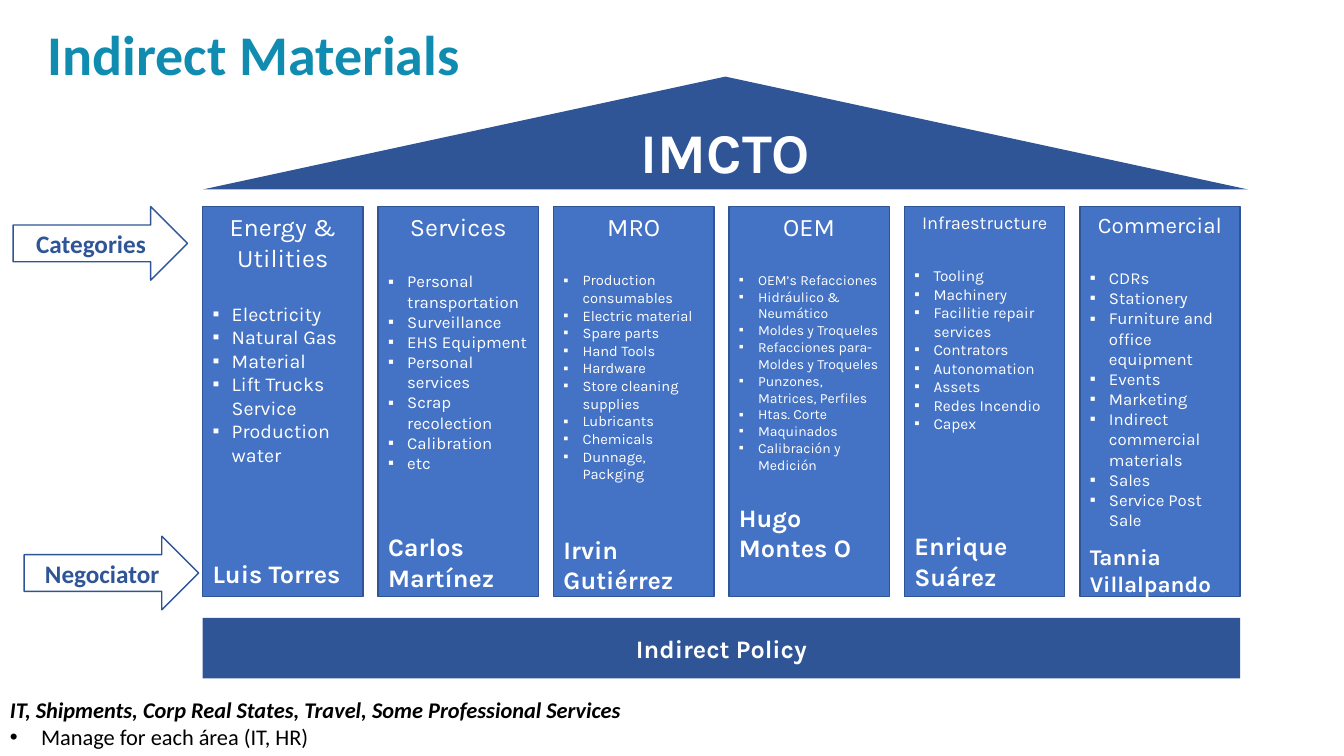
from lxml.etree import SubElement
from pptx import Presentation
from pptx.dml.color import RGBColor
from pptx.enum.shapes import MSO_SHAPE
from pptx.enum.text import MSO_ANCHOR, MSO_AUTO_SIZE, PP_ALIGN
from pptx.oxml.ns import qn
from pptx.util import Inches, Pt

TEAL = RGBColor(0x10, 0x8C, 0xB1)
NAVY = RGBColor(0x2F, 0x55, 0x97)
BLUE = RGBColor(0x44, 0x72, 0xC4)
WHITE = RGBColor(0xFF, 0xFF, 0xFF)
BLACK = RGBColor(0, 0, 0)

LEFT, TOP, PITCH = 2.01, 2.05, 1.74

# heading, heading size, gap below, items, item size, gap above name, name, name size
PILLARS = [
    ("Energy & Utilities", 18, 21,
     ["Electricity", "Natural Gas", "Material", "Lift Trucks Service",
      "Production water"], 14, 65.5, "Luis Torres", 18),
    ("Services", 18, 21,
     ["Personal transportation", "Surveillance", "EHS Equipment",
      "Personal services", "Scrap recolection", "Calibration", "etc"],
     12, 42, "Carlos Martínez", 18),
    ("MRO", 18, 21,
     ["Production consumables", "Electric material", "Spare parts",
      "Hand Tools", "Hardware", "Store cleaning supplies", "Lubricants",
      "Chemicals", "Dunnage, Packging"], 10.5, 37, "Irvin Gutiérrez", 18),
    ("OEM", 18, 21,
     ["OEM’s Refacciones", "Hidráulico & Neumático", "Moldes y Troqueles",
      "Refacciones para-Moldes y Troqueles", "Punzones, Matrices, Perfiles",
      "Htas. Corte", "Maquinados", "Calibración y Medición"],
     10, 21, "Hugo Montes O", 18),
    ("Infraestructure", 13, 23.5,
     ["Tooling", "Machinery", "Facilitie repair services", "Contrators",
      "Autonomation", "Assets", "Redes Incendio", "Capex"],
     11, 70, "Enrique Suárez", 18),
    ("Commercial", 16, 21,
     ["CDRs", "Stationery", "Furniture and office equipment", "Events",
      "Marketing", "Indirect commercial materials", "Sales",
      "Service Post Sale"], 12, 9.5, "Tannia Villalpando", 16),
]


def place(*box):
    return [Inches(n) for n in box]


def add_run(para, text, size, color, font="Karla", bold=False, slant=False):
    run = para.add_run()
    run.text = text
    face = run.font
    face.name, face.size = font, Pt(size)
    face.bold, face.italic = bold, slant
    face.color.rgb = color


def add_mark(para, char, indent):
    """Give the paragraph a bullet with a hanging indent."""
    props = para._p.get_or_add_pPr()
    props.set("marL", str(Inches(indent)))
    props.set("indent", str(-Inches(indent)))
    SubElement(props, qn("a:buFont")).set("typeface", "Arial")
    SubElement(props, qn("a:buChar")).set("char", char)


def add_block(slide, kind, box, fill=None, line=None, anchor=MSO_ANCHOR.MIDDLE):
    """Add a preset shape and return its text frame."""
    shape = slide.shapes.add_shape(kind, *place(*box))
    shape.shadow.inherit = False
    if fill is None:
        shape.fill.background()
    else:
        shape.fill.solid()
        shape.fill.fore_color.rgb = fill
    if line is None:
        shape.line.fill.background()
    else:
        shape.line.color.rgb = line
        shape.line.width = Pt(1)
    frame = shape.text_frame
    frame.word_wrap = True
    frame.vertical_anchor = anchor
    return frame


def add_label(frame, text, size, color, font="Karla"):
    para = frame.paragraphs[0]
    para.alignment = PP_ALIGN.CENTER
    add_run(para, text, size, color, font, bold=True)


def add_title(slide, text):
    title = slide.shapes.title
    title.left, title.top, title.width, title.height = place(0.13, 0.22, 4.53, 0.54)
    frame = title.text_frame
    frame.auto_size = MSO_AUTO_SIZE.NONE
    frame.word_wrap = True
    frame.vertical_anchor = MSO_ANCHOR.TOP
    para = frame.paragraphs[0]
    para.alignment = PP_ALIGN.RIGHT
    para.line_spacing = 0.9
    add_run(para, text, 40, TEAL, "Calibri", bold=True)


def add_pillar(slide, left, head, head_size, head_gap, items, size, gap, name, name_size):
    frame = add_block(slide, MSO_SHAPE.RECTANGLE, (left, TOP, 1.59, 3.87),
                      BLUE, NAVY, MSO_ANCHOR.TOP)
    para = frame.paragraphs[0]
    para.alignment = PP_ALIGN.CENTER
    para.space_after = Pt(head_gap)
    add_run(para, head, head_size, WHITE)
    for item in items:
        para = frame.add_paragraph()
        para.alignment = PP_ALIGN.LEFT
        add_mark(para, "▪", 0.19)
        add_run(para, item, size, WHITE)
    para = frame.add_paragraph()
    para.alignment = PP_ALIGN.LEFT
    para.space_before = Pt(gap)
    add_run(para, name, name_size, WHITE, bold=True)


def add_note(slide, lead, point):
    frame = slide.shapes.add_textbox(*place(0, 6.86, 8.81, 0.64)).text_frame
    frame.word_wrap = True
    add_run(frame.paragraphs[0], lead, 16, BLACK, "Calibri", bold=True, slant=True)
    para = frame.add_paragraph()
    add_mark(para, "•", 0.31)
    add_run(para, point, 16, BLACK, "Calibri")


def main():
    deck = Presentation()
    deck.slide_width, deck.slide_height = place(13.33, 7.5)
    slide = deck.slides.add_slide(deck.slide_layouts[5])
    add_title(slide, "Indirect Materials")

    roof = add_block(slide, MSO_SHAPE.ISOSCELES_TRIANGLE, (LEFT, 0.76, 10.37, 1.12),
                     NAVY, anchor=MSO_ANCHOR.BOTTOM)
    add_label(roof, "IMCTO", 40, WHITE)
    for i, pillar in enumerate(PILLARS):
        add_pillar(slide, LEFT + i * PITCH, *pillar)
    base = add_block(slide, MSO_SHAPE.RECTANGLE, (LEFT, 6.13, 10.29, 0.6), NAVY)
    add_label(base, "Indirect Policy", 18, WHITE)

    for text, left, top in [("Categories", 0.13, TOP), ("Negociator", 0.24, 5.32)]:
        arrow = add_block(slide, MSO_SHAPE.RIGHT_ARROW, (left, top, 1.73, 0.73), line=NAVY)
        add_label(arrow, text, 18, NAVY, "Calibri")

    add_note(slide, "IT, Shipments, Corp Real States, Travel, Some Professional Services",
             "Manage for each área (IT, HR)")
    deck.save("out.pptx")


if __name__ == "__main__":
    main()
